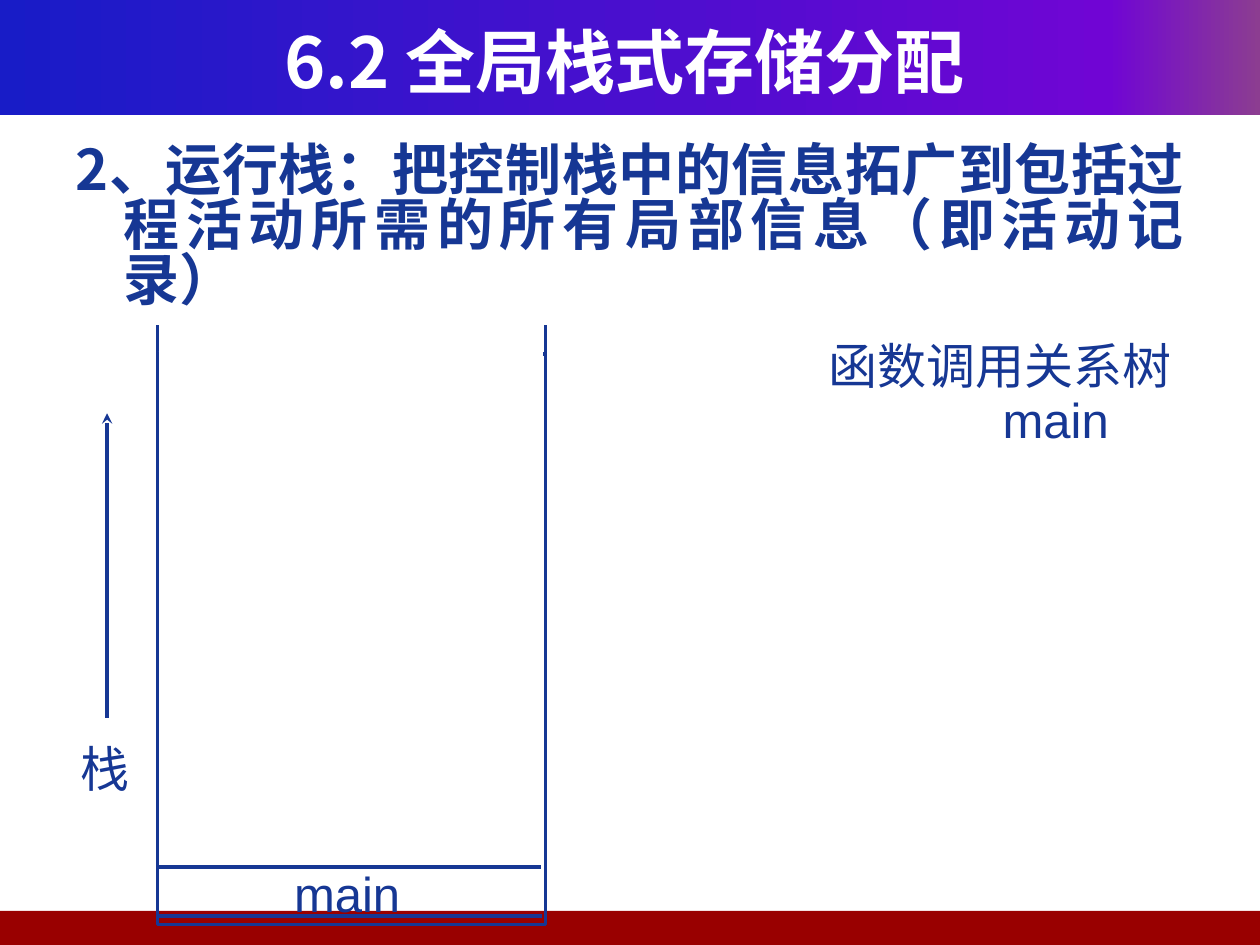
import pptx
import pptx.util
import pptx.dml.color
import pptx.enum.shapes
import pptx.enum.text
import pptx.oxml.ns
from lxml import etree

W, H = 10, 7.5
INK, WHITE, RED = "163794", "FFFFFF", "990000"
CJK = "Noto Sans CJK SC"
GRAD = [(0, "181CC7"), (88, "7005D4"), (100, "8C3D91")]

# Stack frame: left, right, top, bottom; and how far its walls rise
LEFT, RIGHT, TOP, BASE = 1.25, 4.33, 2.81, 7.34
OPEN = 2.58

# Text: words, box, insets, alignment, font format
HEAD = dict(size=40, bold=True, name=CJK, color=WHITE)
BODY = dict(size=32, bold=True, name=CJK, color=INK)
NOTE = dict(size=28, name="Arial", color=INK)
MONO = dict(NOTE, name="Courier New")

TITLE = ("6.2 全局栈式存储分配", (0.33, 0.17, 9.25, 0.62), 0.05, "CENTER", HEAD)
POINT = ("2、运行栈：把控制栈中的信息拓广到包括过程活动所需的所有局部信息（即活动记录）",
         (0.5, 1.07, 9, 5.74), 0.09, "JUSTIFY", BODY)
FRAME = ("main", (1.29, 6.72, 2.93, 0.62), 0.13, "CENTER", NOTE)
STACK = ("栈", (0.54, 5.86, 0.63, 0.94), 0, "LEFT", NOTE)
TREE = [
    ("main", (7.86, 3, 1.05, 0.67), 0.09, "LEFT", NOTE),
    ("函数调用关系树", (6.48, 2.66, 2.97, 0.55), 0, "LEFT", MONO),
]

# Lines: from, to, colour, width, arrowhead at the start
LINES = [
    ((LEFT, 7.27), (4.3, 7.27), INK, 2, None),
    ((LEFT, 6.88), (4.29, 6.88), INK, 2, None),
    ((0.85, 3.28), (0.85, 5.7), INK, 2, "stealth"),
    ((LEFT, OPEN), (LEFT, TOP), INK, 2, None),
    ((RIGHT, OPEN), (RIGHT, TOP), INK, 2, None),
    ((LEFT + 0.01, TOP), (RIGHT - 0.02, TOP), WHITE, 3.5, None),
]

inch, qn = pptx.util.Inches, pptx.oxml.ns.qn


def rgb(code):
    return pptx.dml.color.RGBColor.from_string(code)


def sub(node, tag, **attrs):
    return etree.SubElement(node, qn(tag), attrs)


def rect(to, box, fill=None, line=None):
    kind = pptx.enum.shapes.MSO_SHAPE.RECTANGLE
    shape = to.add_shape(kind, *map(inch, box))
    shape.shadow.inherit = False
    if fill:
        shape.fill.solid()
        shape.fill.fore_color.rgb = rgb(fill)
    else:
        shape.fill.background()
    if line:
        shape.line.color.rgb = rgb(line)
        shape.line.width = pptx.util.Pt(2)
    else:
        shape.line.fill.background()
    return shape


def shade(shape, stops):
    shape.fill.gradient()
    shape.fill.gradient_angle = 0
    group = shape._element.spPr.find(qn("a:gradFill")).find(qn("a:gsLst"))
    for old in list(group):
        group.remove(old)
    for pos, code in stops:
        stop = sub(group, "a:gs", pos=str(pos * 1000))
        sub(stop, "a:srgbClr", val=code)


def line(to, start, end, code, width, head):
    kind = pptx.enum.shapes.MSO_CONNECTOR.STRAIGHT
    wire = to.add_connector(kind, *map(inch, start + end))
    wire.line.color.rgb = rgb(code)
    wire.line.width = pptx.util.Pt(width)
    if head:
        sub(wire.line._get_or_add_ln(), "a:headEnd", type=head)
    sub(wire._element.spPr, "a:effectLst")


def text(to, words, box, top, align, form, wrap=False):
    frame = to.add_textbox(*map(inch, box)).text_frame
    frame.word_wrap = wrap
    frame.margin_top = inch(top)
    para = frame.paragraphs[0]
    para.alignment = getattr(pptx.enum.text.PP_ALIGN, align)
    run = para.add_run()
    run.text = words
    for key, val in form.items():
        if key == "color":
            run.font.color.rgb = rgb(val)
        else:
            setattr(run.font, key, pptx.util.Pt(val) if key == "size" else val)
    sub(run._r.get_or_add_rPr(), "a:ea", typeface=CJK)
    return frame


deck = pptx.Presentation()
deck.slide_width, deck.slide_height = inch(W), inch(H)
page = deck.slides.add_slide(deck.slide_layouts[6]).shapes

# Bands at the top and the bottom
shade(rect(page, (0, 0, W, 0.91), WHITE), GRAD)
rect(page, (-0.04, 7.23, W + 0.04, 0.27), RED)

# Title and main point
text(page, *TITLE, wrap=True).vertical_anchor = pptx.enum.text.MSO_ANCHOR.MIDDLE
para = text(page, *POINT, wrap=True).paragraphs[0]
para.line_spacing = 0.82
hang = inch(0.38)
para._p.get_or_add_pPr().set("marL", str(hang))
para._p.get_or_add_pPr().set("indent", str(-hang))

# Run-time stack
stack = page.add_group_shape().shapes
rect(stack, (LEFT, TOP, RIGHT - LEFT, BASE - TOP), line=INK)
text(stack, *FRAME)
for item in LINES:
    line(stack, *item)
text(stack, *STACK)

# Call tree
for item in TREE:
    text(page, *item)

deck.save("out.pptx")
